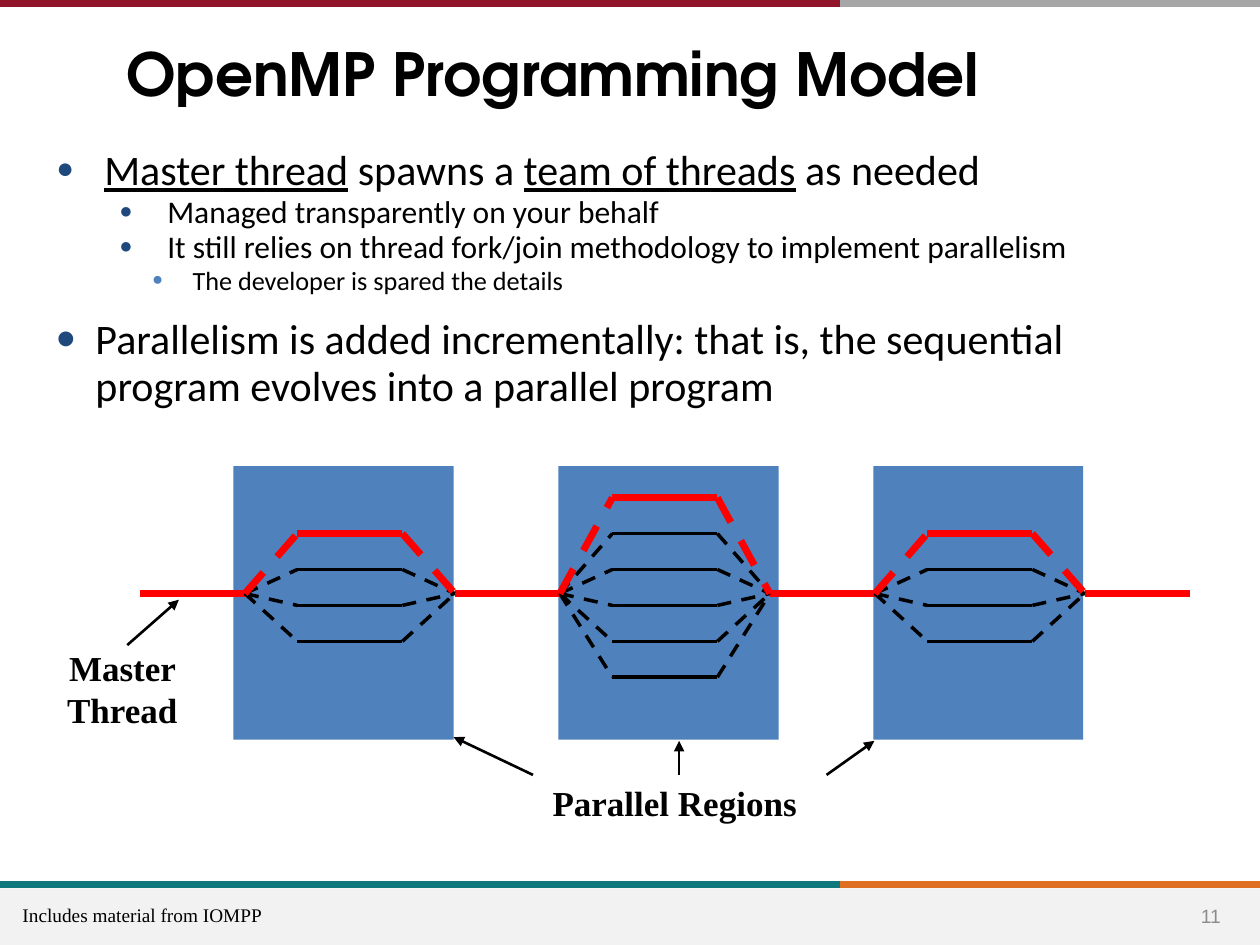
from dataclasses import dataclass

from lxml.etree import SubElement
from pptx import Presentation
from pptx.dml.color import RGBColor
from pptx.enum.dml import MSO_LINE
from pptx.enum.shapes import MSO_CONNECTOR, MSO_SHAPE
from pptx.enum.text import MSO_ANCHOR, PP_ALIGN
from pptx.oxml.ns import qn
from pptx.util import Inches, Pt


@dataclass(frozen=True)
class Theme:
    black: str = "000000"
    red: str = "FF0000"
    blue: str = "4F81BD"
    navy: str = "1F497D"
    maroon: str = "90152A"
    silver: str = "A6A6A6"
    teal: str = "0F787D"
    orange: str = "DF7023"
    band: str = "F2F2F2"
    number: str = "8C8C8C"
    title_font: str = "TeX Gyre Adventor"
    body_font: str = "Calibri"
    label_font: str = "Times New Roman"
    number_font: str = "Arial"
    title: float = 34
    body: float = 24
    sub: float = 18
    detail: float = 15
    label: float = 20
    small: float = 11
    thick: float = 4
    thin: float = 2
    arrow: float = 1.5


@dataclass(frozen=True)
class Bullet:
    texts: tuple[str, ...]
    size: float
    indent: float
    hang: float
    level: int = 0
    before: float = 3
    spacing: float = 0.8
    char: str = "●"
    scale: int = 70
    color: str = Theme.navy


@dataclass(frozen=True)
class Region:
    fork: int
    left: float
    width: float
    levels: range


T = Theme()
W, H = 10, 7.5
SPLIT = W * 2 / 3
COL, ROW = 2.5 / 6, 0.285
X0, Y0 = 1.11, 3.95
AXIS = 2.67
BOX_TOP, BOX_HEIGHT = 3.7, 2.17

BULLETS = (
    Bullet(("Master thread", " spawns a ", "team of threads", " as needed"),
           T.body, 0.38, 0.38, before=0),
    Bullet(("Managed transparently on your behalf",), T.sub, 0.88, 0.38, 1),
    Bullet(("It still relies on thread fork/join methodology to implement parallelism",),
           T.sub, 0.88, 0.38, 1),
    Bullet(("The developer is spared the details",), T.detail, 1.08, 0.32, 2, color=T.blue),
    Bullet(("Parallelism is added incrementally: that is, the sequential "
            "program evolves into a parallel program",),
           T.body, 0.31, 0.31, before=12, spacing=0.94, char="•", scale=130),
)
REGIONS = (
    Region(2, 1.78, 4.2, range(1, 5)),
    Region(8, 7.97, 4.2, range(0, 6)),
    Region(14, 13.97, 4, range(1, 5)),
)
ARROWS = (
    ((6.56, 6.15), (6.94, 5.88)),
    ((4.23, 6.15), (3.6, 5.85)),
    ((5.39, 6.15), (5.39, 5.88)),
    ((1.01, 5.12), (1.42, 4.76)),
)


def rgb(color: str) -> RGBColor:
    return RGBColor.from_string(color)


def style(r, font: str, size: float, color: str = T.black, bold: bool = False) -> None:
    r.font.name, r.font.size, r.font.bold = font, Pt(size), bold
    r.font.color.rgb = rgb(color)


def add_line(s, start: tuple, end: tuple, color: str, width: float,
             dashed: bool = False, arrow: bool = False) -> None:
    points = [Inches(v) for v in (*start, *end)]
    sp = s.shapes.add_connector(MSO_CONNECTOR.STRAIGHT, *points)
    sp.line.color.rgb, sp.line.width = rgb(color), Pt(width)
    if dashed:
        sp.line.dash_style = MSO_LINE.DASH
    spPr = sp._element.spPr
    if arrow:
        SubElement(spPr.find(qn("a:ln")), qn("a:tailEnd"), type="triangle")
    SubElement(spPr, qn("a:effectLst"))


def add_rect(s, box: tuple, color: str) -> None:
    sp = s.shapes.add_shape(MSO_SHAPE.RECTANGLE, *map(Inches, box))
    sp.shadow.inherit = False
    sp.fill.solid()
    sp.fill.fore_color.rgb = rgb(color)
    sp.line.fill.background()


def add_label(s, box: tuple, text: str, font: str, size: float, color: str = T.black,
              bold: bool = False, align=PP_ALIGN.CENTER, wrap: bool = True,
              anchor=MSO_ANCHOR.TOP) -> None:
    tf = s.shapes.add_textbox(*map(Inches, box)).text_frame
    tf.text, tf.word_wrap, tf.vertical_anchor = text, wrap, anchor
    p = tf.paragraphs[0]
    p.alignment = align
    style(p.runs[0], font, size, color, bold)


def add_bullet(p, b: Bullet) -> None:
    p.level, p.line_spacing, p.space_before = b.level, b.spacing, Pt(b.before)
    pPr = p._p.get_or_add_pPr()
    pPr.set("marL", str(Inches(b.indent)))
    pPr.set("indent", str(-Inches(b.hang)))
    SubElement(SubElement(pPr, qn("a:buClr")), qn("a:srgbClr"), val=b.color)
    SubElement(pPr, qn("a:buSzPct"), val=str(b.scale * 1000))
    SubElement(pPr, qn("a:buFont"), typeface="Arial")
    SubElement(pPr, qn("a:buChar"), char=b.char)
    for i, text in enumerate(b.texts):
        r = p.add_run()
        r.text = text
        style(r, T.body_font, b.size)
        r.font.underline = len(b.texts) > 1 and i % 2 == 0


def grid(col: float, row: float) -> tuple[float, float]:
    return X0 + col * COL, Y0 + row * ROW


def add_team(s, region: Region) -> None:
    c = region.fork
    for level in reversed(region.levels):
        master = level == region.levels[0]
        pen = (T.red, T.thick) if master else (T.black, T.thin)
        add_line(s, grid(c, AXIS), grid(c + 1, level), *pen, dashed=True)
        add_line(s, grid(c + 1, level), grid(c + 3, level), *pen)
        add_line(s, grid(c + 3, level), grid(c + 4, AXIS), *pen, dashed=True)


def add_frame(s) -> None:
    for y, left, right in ((H - 0.48, T.teal, T.orange), (0.03, T.maroon, T.silver)):
        add_line(s, (SPLIT, y), (W, y), right, T.thick)
        add_line(s, (0, y), (SPLIT, y), left, T.thick)
    add_rect(s, (0, H - 0.45, W, 0.45), T.band)
    add_label(s, (9.35, 7.07, 0.52, 0.4), "11", T.number_font, T.small, T.number,
              anchor=MSO_ANCHOR.MIDDLE)
    add_label(s, (0.08, 7.12, 2.11, 0.29), "Includes material from IOMPP",
              T.label_font, T.small, align=PP_ALIGN.LEFT, wrap=False)


def add_title(s, text: str) -> None:
    sp = s.shapes.title
    sp.left, sp.top, sp.width, sp.height = map(Inches, (0.9, 0.31, 8.25, 1.59))
    tf = sp.text_frame
    tf.text, tf.vertical_anchor = text, MSO_ANCHOR.TOP
    p = tf.paragraphs[0]
    p.alignment, p.line_spacing = PP_ALIGN.LEFT, 0.89
    style(p.runs[0], T.title_font, T.title, bold=True)


def add_body(s) -> None:
    tf = s.shapes.add_textbox(*map(Inches, (0.35, 1.17, 9.04, 2.42))).text_frame
    tf.word_wrap = True
    for i, b in enumerate(BULLETS):
        add_bullet(tf.add_paragraph() if i else tf.paragraphs[0], b)


def add_diagram(s) -> None:
    for region in REGIONS:
        add_rect(s, (X0 + region.left * COL, BOX_TOP, region.width * COL, BOX_HEIGHT), T.blue)
    for col in range(0, 19, 6):
        add_line(s, grid(col, AXIS), grid(col + 2, AXIS), T.red, T.thick)
    for region in REGIONS:
        add_team(s, region)
    for start, end in ARROWS:
        add_line(s, start, end, T.black, T.arrow, arrow=True)
    for box, text in (((3.23, 6.15, 4.25, 0.43), "Parallel Regions"),
                      ((0.31, 5.08, 1.32, 0.77), "Master Thread")):
        add_label(s, box, text, T.label_font, T.label, bold=True)


def main() -> None:
    prs = Presentation()
    prs.slide_width, prs.slide_height = Inches(W), Inches(H)
    s = prs.slides.add_slide(prs.slide_layouts[5])
    add_frame(s)
    add_title(s, "OpenMP Programming Model")
    add_body(s)
    add_diagram(s)
    prs.save("out.pptx")


if __name__ == "__main__":
    main()
